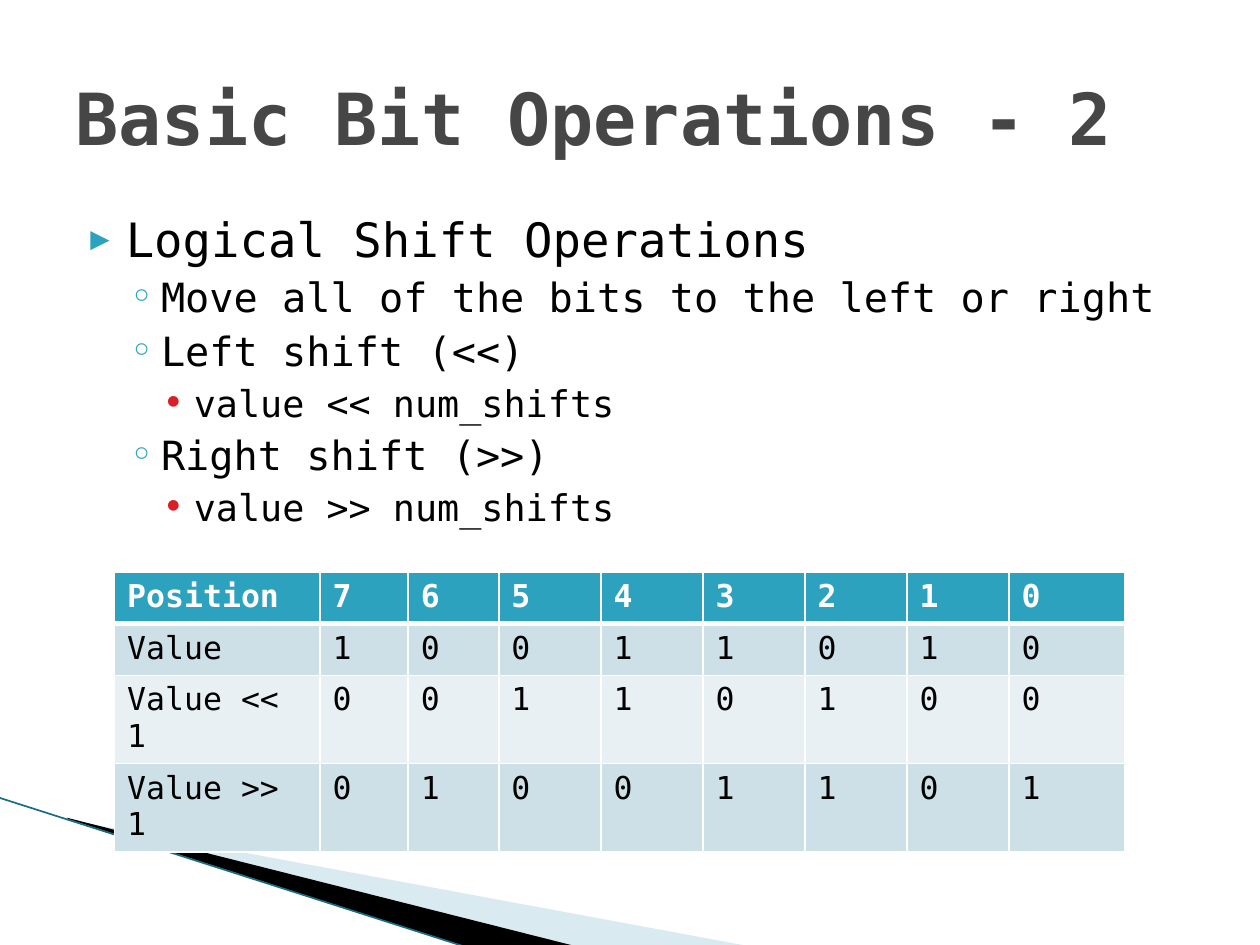
import pptx
import pptx.util
import pptx.dml.color
import pptx.enum.shapes
import pptx.enum.text
import pptx.oxml
import pptx.oxml.ns
import lxml.etree
from dataclasses import dataclass

Inches, Pt = pptx.util.Inches, pptx.util.Pt
qn = pptx.oxml.ns.qn


@dataclass(frozen=True)
class Theme:
    font: str = "DejaVu Sans Mono"
    ink: str = "000000"
    white: str = "FFFFFF"
    heading: str = "464646"
    accent: str = "2DA2BF"
    red: str = "DA1F28"
    band_dark: str = "CDE0E8"
    band_light: str = "E8F0F4"
    pale_wedge: str = "A0CBDC"
    edge: str = "1A6C80"
    title_size: int = 41
    table_size: int = 18


theme = Theme()

# Content
TITLE = "Basic Bit Operations - 2"
BULLETS = [
    (0, "Logical Shift Operations"),
    (1, "Move all of the bits to the left or right"),
    (1, "Left shift (<<)"),
    (2, "value << num_shifts"),
    (1, "Right shift (>>)"),
    (2, "value >> num_shifts"),
]
ROWS = [
    ("Position", "76543210"),
    ("Value", "10011010"),
    ("Value << 1", "00110100"),
    ("Value >> 1", "01001101"),
]
COLUMN_WIDTHS = [1.63, 0.7, 0.72] + [0.81] * 5 + [0.92]
ROW_HEIGHT = 0.41

# Per level: type size, left margin, hanging indent, space before, bullet, colour, bullet percent
LEVELS = [
    (27, 0.4, -0.28, 4, "▶", theme.accent, 68),
    (23, 0.68, -0.25, 3.2, "◦", theme.accent, 100),
    (21, 0.94, -0.25, 3.5, "•", theme.red, 100),
]
# Corner wedges: points, colour, opacity percent
WEDGES = [
    ([(0.55, 6.51), (5.95, 7.51), (4.56, 7.51), (0.55, 6.5)], theme.pale_wedge, 40),
    ([(0.53, 6.49), (4.57, 7.51), (3.72, 7.52), (0.54, 6.5)], theme.ink, 100),
]


def rgb(value):
    return pptx.dml.color.RGBColor.from_string(value)


def add_span(para, text, size, color, bold=False):
    span = para.add_run()
    span.text = text
    span.font.name, span.font.size, span.font.bold = theme.font, Pt(size), bold
    span.font.color.rgb = rgb(color)


def child(parent, tag, **attributes):
    return lxml.etree.SubElement(parent, qn(tag), attributes)


def set_bullet(para, left, indent, mark, color, percent):
    props = para._p.get_or_add_pPr()
    props.set("marL", str(Inches(left)))
    props.set("indent", str(Inches(indent)))
    child(child(props, "a:buClr"), "a:srgbClr", val=color)
    child(props, "a:buSzPct", val=str(percent * 1000))
    child(props, "a:buFont", typeface=theme.font)
    child(props, "a:buChar", char=mark)


def set_borders(cell, bottom):
    props = cell._tc.get_or_add_tcPr()
    widths = [("L", 1), ("R", 1), ("T", 1), ("B", bottom)]
    for place, (side, width) in enumerate(widths):
        line = child(props, "a:ln" + side, w=str(Pt(width)))
        child(child(line, "a:solidFill"), "a:srgbClr", val=theme.white)
        props.insert(place, line)


deck = pptx.Presentation()
deck.slide_width, deck.slide_height = Inches(10), Inches(7.5)
page = deck.slides.add_slide(deck.slide_layouts[5])

# Corner decoration
for points, color, opacity in WEDGES:
    corners = [(Inches(x), Inches(y)) for x, y in points]
    builder = page.shapes.build_freeform(*corners[0])
    builder.add_line_segments(corners[1:], close=True)
    wedge = builder.convert_to_shape()
    wedge.shadow.inherit = False
    wedge.fill.solid()
    wedge.fill.fore_color.rgb = rgb(color)
    wedge.line.fill.background()
    if opacity < 100:
        tint = wedge._element.spPr.find(".//" + qn("a:srgbClr"))
        child(tint, "a:alpha", val=str(opacity * 1000))

edge = page.shapes.add_connector(
    pptx.enum.shapes.MSO_CONNECTOR.STRAIGHT,
    Inches(-0.01), Inches(6.33), Inches(3.71), Inches(7.52))
edge.line.color.rgb = rgb(theme.edge)
edge.line.width = Pt(0.95)
child(edge._element.spPr, "a:effectLst")

# Title
title = page.shapes.title
title.left, title.top = Inches(0.5), Inches(0.3)
title.width, title.height = Inches(9), Inches(1.25)
title.text_frame.vertical_anchor = pptx.enum.text.MSO_ANCHOR.MIDDLE
para = title.text_frame.paragraphs[0]
para.alignment = pptx.enum.text.PP_ALIGN.LEFT
add_span(para, TITLE, theme.title_size, theme.heading, bold=True)

# Bulleted text
box = page.shapes.add_textbox(Inches(0.5), Inches(1.62), Inches(9), Inches(4.95))
frame = box.text_frame
frame.word_wrap = True
for number, (level, text) in enumerate(BULLETS):
    size, left, indent, before, mark, color, percent = LEVELS[level]
    para = frame.add_paragraph() if number else frame.paragraphs[0]
    para.level = level
    para.space_before = Pt(before)
    set_bullet(para, left, indent, mark, color, percent)
    add_span(para, text, size, theme.ink)

# Shift table
table = page.shapes.add_table(
    len(ROWS), len(COLUMN_WIDTHS), Inches(0.91), Inches(4.54),
    Inches(sum(COLUMN_WIDTHS)), Inches(ROW_HEIGHT * len(ROWS))).table
for column, width in zip(table.columns, COLUMN_WIDTHS):
    column.width = Inches(width)
for r, (label, bits) in enumerate(ROWS):
    table.rows[r].height = Inches(ROW_HEIGHT)
    header = r == 0
    fill = theme.accent if header else (theme.band_dark if r % 2 else theme.band_light)
    for c, text in enumerate([label, *bits]):
        cell = table.cell(r, c)
        cell.fill.solid()
        cell.fill.fore_color.rgb = rgb(fill)
        set_borders(cell, bottom=3 if header else 1)
        add_span(cell.text_frame.paragraphs[0], text, theme.table_size,
                 theme.white if header else theme.ink, bold=header)

deck.save("out.pptx")
